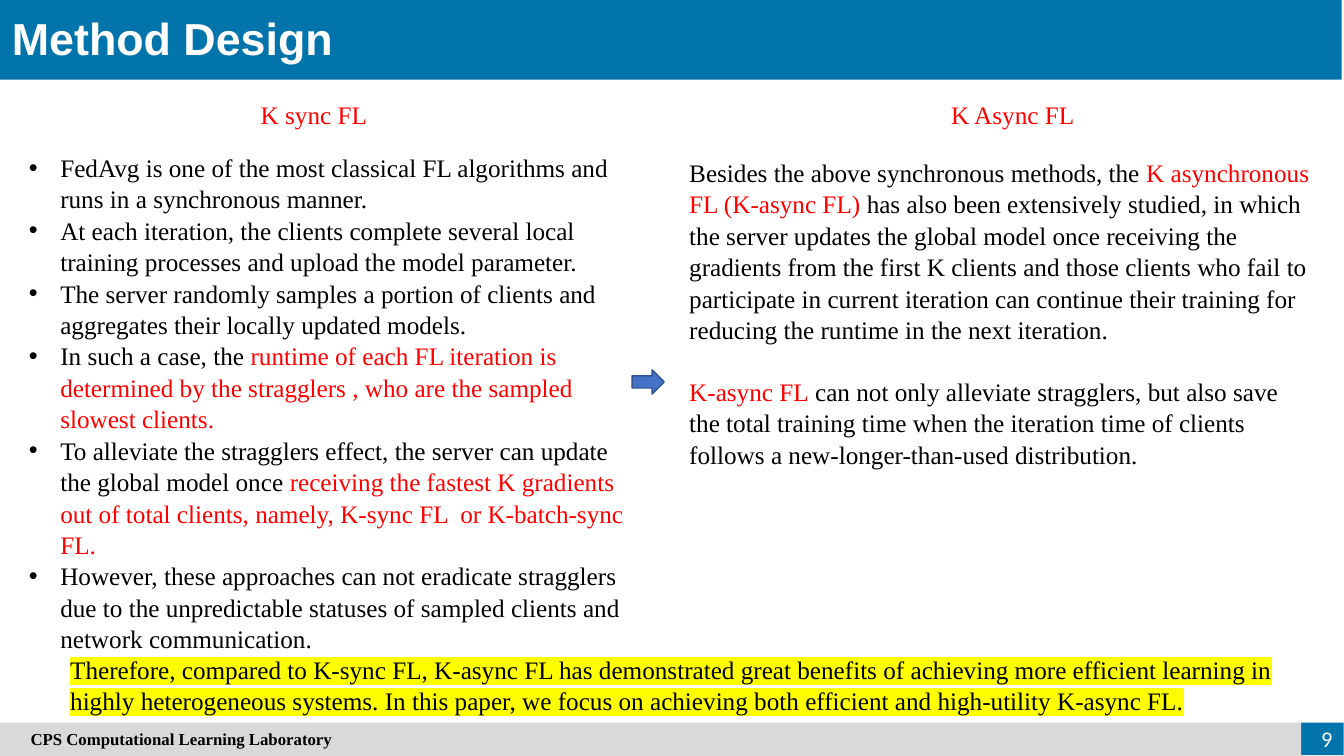
"""Build the Method Design slide that compares K-sync and K-async FL."""
from lxml.etree import SubElement
from pptx import Presentation
from pptx.dml.color import RGBColor
from pptx.enum.shapes import MSO_SHAPE
from pptx.enum.text import MSO_ANCHOR, PP_ALIGN
from pptx.oxml.ns import qn
from pptx.util import Cm, Pt

TEAL = RGBColor(0x01, 0x74, 0xAB)
GREY = RGBColor(0xD9, 0xD9, 0xD9)
BLUE = RGBColor(0x44, 0x72, 0xC4)
NAVY = RGBColor(0x2F, 0x55, 0x97)
WHITE = RGBColor(0xFF, 0xFF, 0xFF)
BLACK = RGBColor(0x00, 0x00, 0x00)
RED = RGBColor(0xFF, 0x00, 0x00)
YELLOW = RGBColor(0xFF, 0xFF, 0x00)
SERIF = "Times New Roman"

SYNC = [
    "FedAvg is one of the most classical FL algorithms and runs in a synchronous manner.",
    "At each iteration, the clients complete several local training processes "
    "and upload the model parameter.",
    "The server randomly samples a portion of clients and aggregates their "
    "locally updated models.",
    "In such a case, the |runtime of each FL iteration is determined by the "
    "stragglers , who are the sampled slowest clients.",
    "To alleviate the stragglers effect, the server can update the global model once "
    "|receiving the fastest K gradients out of total clients, namely, "
    "K-sync FL  or K-batch-sync FL.",
    "However, these approaches can not eradicate stragglers due to the "
    "unpredictable statuses of sampled clients and network communication.",
]
ASYNC = [
    "Besides the above synchronous methods, the |K asynchronous FL (K-async FL) "
    "|has also been extensively studied, in which the server updates the global model "
    "once receiving the gradients from the first K clients and those clients who fail "
    "to participate in current iteration can continue their training for reducing "
    "the runtime in the next iteration.",
    "|K-async FL| can not only alleviate stragglers, but also save the total training "
    "time when the iteration time of clients follows a new-longer-than-used distribution.",
]
CLOSE = (
    "Therefore, compared to K-sync FL, K-async FL has demonstrated great benefits of "
    "achieving more efficient learning in highly heterogeneous systems. In this paper, "
    "we focus on achieving both efficient and high-utility K-async FL."
)


def add_block(slide, kind, box, fill, line=None):
    """Add a filled preset shape, outlined if a line colour is given."""
    shape = slide.shapes.add_shape(kind, *map(Cm, box))
    shape.shadow.inherit = False
    shape.fill.solid()
    shape.fill.fore_color.rgb = fill
    if line is None:
        shape.line.fill.background()
    else:
        shape.line.color.rgb = line
        shape.line.width = Pt(1)
    return shape


def add_box(slide, box):
    """Add an empty wrapping text box and return its frame."""
    frame = slide.shapes.add_textbox(*map(Cm, box)).text_frame
    frame.word_wrap = True
    return frame


def set_font(para, name, size, color, bold=False):
    """Set the font of a whole paragraph."""
    font = para.font
    font.name, font.size, font.bold = name, Pt(size), bold
    font.color.rgb = color


def add_label(frame, text, name, size, color, bold=False):
    """Write a one-paragraph text into a frame and return the paragraph."""
    para = frame.paragraphs[0]
    para.text = text
    set_font(para, name, size, color, bold)
    return para


def add_bullet(para):
    """Give a paragraph a hanging round bullet."""
    props = para._p.get_or_add_pPr()
    props.set("marL", str(Cm(0.79)))
    props.set("indent", str(-Cm(0.79)))
    SubElement(props, qn("a:buFont")).set("typeface", "Arial")
    SubElement(props, qn("a:buChar")).set("char", "•")


def add_body(slide, box, items, bullet=False, gap=0):
    """Write paragraphs in which every second part between bars is red."""
    frame = add_box(slide, box)
    for rank, item in enumerate(items):
        para = frame.add_paragraph() if rank else frame.paragraphs[0]
        para.line_spacing = 1.04
        if rank:
            para.space_before = Pt(gap)
        if bullet:
            add_bullet(para)
        set_font(para, SERIF, 18, BLACK)
        for turn, part in enumerate(item.split("|")):
            if part:
                run = para.add_run()
                run.text = part
                if turn % 2:
                    run.font.color.rgb = RED
    return frame


def mark(frame, color):
    """Highlight all runs of a frame."""
    for para in frame.paragraphs:
        for run in para.runs:
            light = SubElement(run._r.get_or_add_rPr(), qn("a:highlight"))
            SubElement(light, qn("a:srgbClr")).set("val", str(color))


def add_frame(slide):
    """Add the title bar and the footer with its page number."""
    add_block(slide, MSO_SHAPE.RECTANGLE, (0, 0, 33.81, 2.01), TEAL)
    title = add_box(slide, (0.05, 0.15, 18.16, 1.63))
    add_label(title, "Method Design", "Arial", 32, WHITE, True)

    add_block(slide, MSO_SHAPE.RECTANGLE, (32.79, 18.21, 1.07, 0.82), TEAL)
    foot = add_block(slide, MSO_SHAPE.RECTANGLE, (0, 18.21, 32.79, 0.84), GREY).text_frame
    foot.margin_left = Cm(0.77)
    foot.vertical_anchor = MSO_ANCHOR.MIDDLE
    lab = add_label(foot, "CPS Computational Learning Laboratory", SERIF, 12, BLACK, True)
    lab.alignment = PP_ALIGN.LEFT

    page = add_box(slide, (32.23, 18.11, 1.6, 1.02))
    page.vertical_anchor = MSO_ANCHOR.MIDDLE
    add_label(page, "9", "Calibri", 16, WHITE).alignment = PP_ALIGN.RIGHT


def main():
    """Build and save the slide."""
    deck = Presentation()
    deck.slide_width, deck.slide_height = Cm(33.87), Cm(19.05)
    slide = deck.slides.add_slide(deck.slide_layouts[6])

    add_frame(slide)
    add_block(slide, MSO_SHAPE.RIGHT_ARROW, (15.93, 9.32, 0.81, 0.61), BLUE, NAVY)
    for left, head in ((6.32, "|K sync FL"), (23.72, "|K Async FL")):
        add_body(slide, (left, 2.34, 6, 1.02), [head])
    add_body(slide, (0.48, 3.68, 15.75, 12.57), SYNC, bullet=True)
    add_body(slide, (17.12, 3.81, 16.26, 9.47), ASYNC, gap=21.6)
    mark(add_body(slide, (1.52, 16.33, 31.17, 2.57), [CLOSE]), YELLOW)

    deck.save("out.pptx")


if __name__ == "__main__":
    main()
